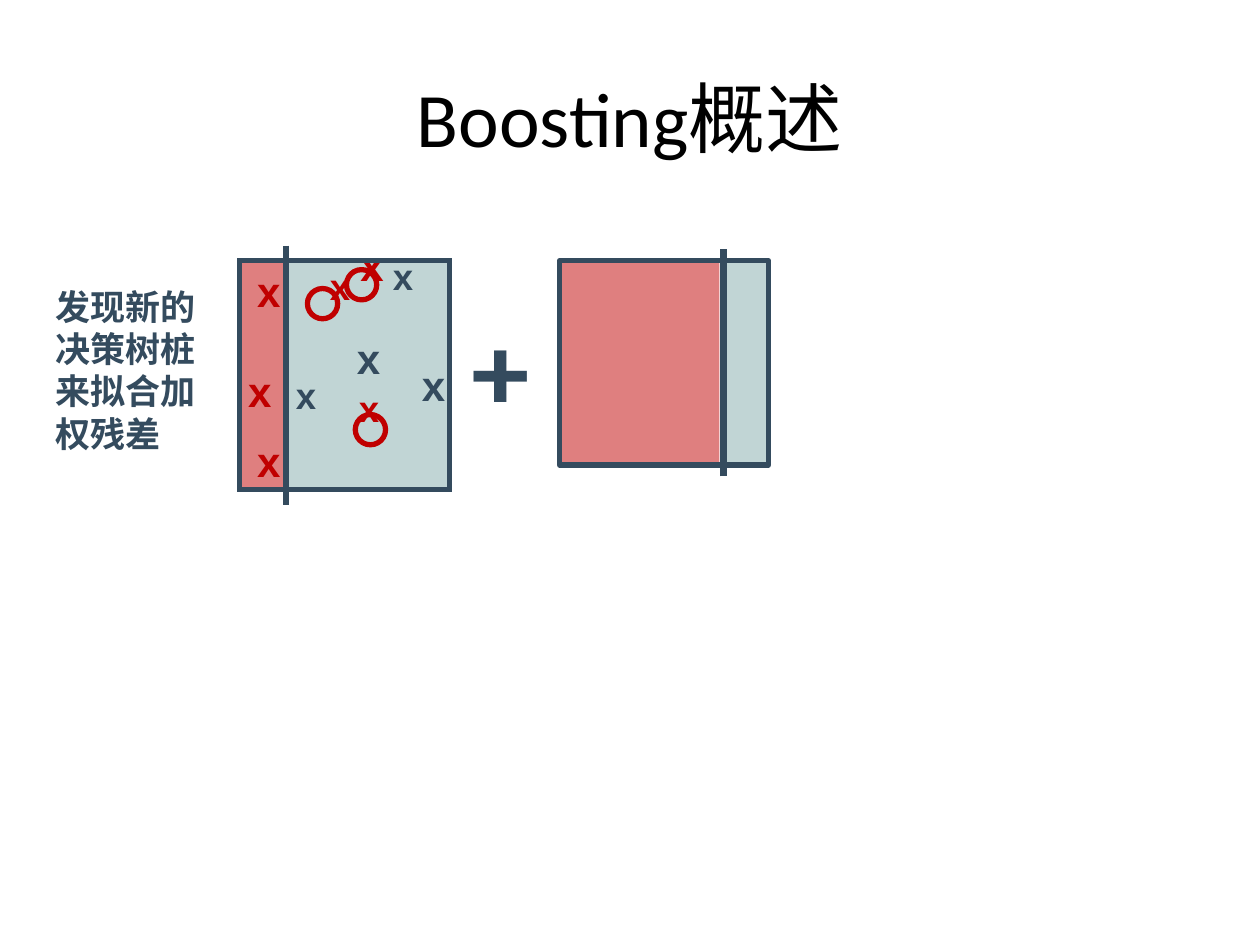
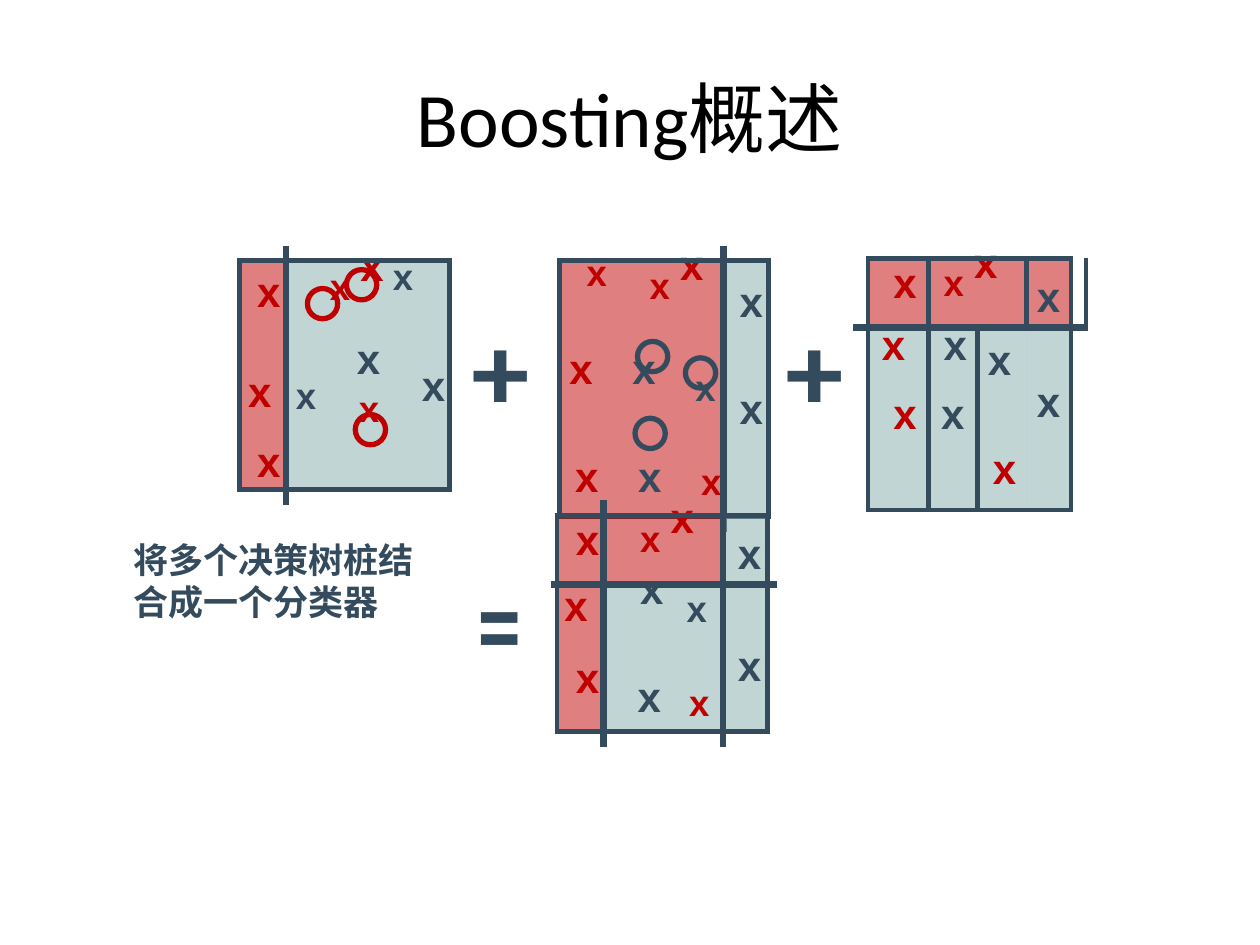
"""Builds two slides that explain boosting with decision stumps."""
from dataclasses import dataclass

import pptx
import pptx.dml.color
import pptx.enum.shapes
import pptx.enum.text
import pptx.oxml
import pptx.oxml.ns
import pptx.util
from pptx.util import Inches, Pt

NAVY = pptx.dml.color.RGBColor(0x34, 0x4B, 0x5E)
RED = pptx.dml.color.RGBColor(0xC0, 0x00, 0x00)
TEAL = pptx.dml.color.RGBColor(0x84, 0xAD, 0xAC)
BLACK = pptx.dml.color.RGBColor(0, 0, 0)
CENTER = pptx.enum.text.PP_ALIGN.CENTER
SHAPE = pptx.enum.shapes.MSO_SHAPE
NO_TABLE_STYLE = "{2D5ABB26-0587-4C30-8999-92F81FD0307C}"
THIN, THICK = 3, 4.25
CIRCLE_SIZE = 0.24


@dataclass
class Line:
    """A row of sample marks; each run is text, colour and baseline shift."""
    runs: list
    left: float = 0
    first: float = 0
    spacing: object = None
    before: float = 0
    tabs: tuple = ()
    align: object = None


@dataclass
class Region:
    """A filled table cell with its lines of marks."""
    color: object
    lines: list
    top: float = 0
    bottom: float = 0


def red(text="x", shift=0):
    """Return a red mark."""
    return text, RED, shift


def navy(text="x", shift=0):
    """Return a navy mark."""
    return text, NAVY, shift


def make_element(tag):
    """Return a new DrawingML element."""
    return pptx.oxml.parse_xml(f"<a:{tag} {pptx.oxml.ns.nsdecls('a')}/>")


def add_child(parent, tag, **attributes):
    """Append a DrawingML element and return it."""
    child = make_element(tag)
    for name, value in attributes.items():
        child.set(name, str(value))
    parent.append(child)
    return child


def add_run(paragraph, text, font, size, color, bold=True):
    """Add one formatted run and return it."""
    run = paragraph.add_run()
    run.text = text
    run.font.name = font
    run.font.size = Pt(size)
    run.font.bold = bold
    run.font.color.rgb = color
    return run


def add_label(slide, text, box, font, size, color=NAVY):
    """Add a bold text box without side margins."""
    shape = slide.shapes.add_textbox(*map(Inches, box))
    frame = shape.text_frame
    frame.word_wrap = True
    frame.auto_size = pptx.enum.text.MSO_AUTO_SIZE.SHAPE_TO_FIT_TEXT
    frame.margin_left = frame.margin_right = frame.margin_bottom = 0
    frame.margin_top = Inches(0.01)
    paragraph = frame.paragraphs[0]
    paragraph._p.get_or_add_pPr().set("marL", str(Inches(0.01)))
    add_run(paragraph, text, font, size, color)


def add_caption(slide, text, box):
    """Add an explanatory caption."""
    add_label(slide, text, box, "DejaVu Sans", 20)


def add_operator(slide, text, left, top=2.35):
    """Add a large plus or equals sign."""
    add_label(slide, text, (left, top, 0.3, 1.03), "Karla", 60)


def add_title(slide):
    """Add the shared slide title."""
    shape = slide.shapes.add_textbox(*map(Inches, (0.5, 0.3, 9, 1.25)))
    shape.text_frame.word_wrap = True
    shape.text_frame.vertical_anchor = pptx.enum.text.MSO_ANCHOR.MIDDLE
    paragraph = shape.text_frame.paragraphs[0]
    paragraph.alignment = CENTER
    add_run(paragraph, "Boosting概述", "Calibri", 44, BLACK, bold=False)


def set_translucent_fill(fill, color):
    """Fill with a half transparent colour."""
    fill.solid()
    fill.fore_color.rgb = color
    color_element = fill._xPr.find(".//" + pptx.oxml.ns.qn("a:srgbClr"))
    add_child(color_element, "alpha", val=50000)


def add_outline(slide, kind, box, color):
    """Add an unfilled outlined shape."""
    shape = slide.shapes.add_shape(kind, *map(Inches, box))
    shape.shadow.inherit = False
    shape.fill.background()
    shape.line.color.rgb = color
    shape.line.width = Pt(THIN)


def add_circles(slide, corners, color):
    """Circle the misclassified samples."""
    for left, top in corners:
        add_outline(slide, SHAPE.OVAL, (left, top, CIRCLE_SIZE, CIRCLE_SIZE), color)


def add_area(slide, box, color):
    """Add a translucent rectangle."""
    shape = slide.shapes.add_shape(SHAPE.RECTANGLE, *map(Inches, box))
    shape.shadow.inherit = False
    shape.line.fill.background()
    set_translucent_fill(shape.fill, color)


def add_boundary(slide, start, end):
    """Add a straight decision boundary."""
    connector = slide.shapes.add_connector(
        pptx.enum.shapes.MSO_CONNECTOR.STRAIGHT, *map(Inches, start + end))
    connector.line.color.rgb = NAVY
    connector.line.width = Pt(3.96)
    add_child(connector._element.spPr, "effectLst")


def set_border(cell, side, width):
    """Draw one navy cell border; later calls go in front in the XML."""
    line = make_element("ln" + side)
    line.set("w", str(Pt(width)))
    add_child(add_child(line, "solidFill"), "srgbClr", val=NAVY)
    cell._tc.get_or_add_tcPr().insert(0, line)


def write_line(paragraph, line):
    """Write one line of marks into a paragraph."""
    properties = paragraph._p.get_or_add_pPr()
    properties.set("marL", str(Inches(line.left)))
    properties.set("indent", str(Inches(line.first)))
    if line.tabs:
        tab_list = add_child(properties, "tabLst")
        for position in line.tabs:
            add_child(tab_list, "tab", pos=Inches(position), algn="l")
    paragraph.alignment = line.align
    if line.spacing:
        paragraph.line_spacing = line.spacing
    if line.before:
        paragraph.space_before = Pt(line.before)
    for text, color, shift in line.runs:
        run = add_run(paragraph, text, "Arial", 36 if shift else 24, color)
        if shift:
            run._r.get_or_add_rPr().set("baseline", str(shift * 1000))


def fill_cell(cell, region):
    """Fill a cell with its region, or leave it empty and small."""
    cell.margin_left = cell.margin_right = cell.margin_top = cell.margin_bottom = 0
    frame = cell.text_frame
    if region is None:
        cell.fill.background()
        add_child(frame.paragraphs[0]._p, "endParaRPr", sz=400)
        return
    set_translucent_fill(cell.fill, region.color)
    cell.margin_top, cell.margin_bottom = Inches(region.top), Inches(region.bottom)
    for index, line in enumerate(region.lines):
        write_line(frame.add_paragraph() if index else frame.paragraphs[0], line)


def add_stump(slide, corner, columns, rows, verticals, horizontals, regions):
    """Add a table of regions; outer borders are drawn on filled cells only."""
    frame = slide.shapes.add_table(len(rows), len(columns), *map(
        Inches, corner + (sum(columns), sum(rows))))
    table = frame.table
    table.first_row = table.horz_banding = False
    table._tbl.tblPr.find(pptx.oxml.ns.qn("a:tableStyleId")).text = NO_TABLE_STYLE
    for column, width in zip(table.columns, columns):
        column.width = Inches(width)
    for row, height in zip(table.rows, rows):
        row.height = Inches(height)
    for r in range(len(rows)):
        for c in range(len(columns)):
            cell, region = table.cell(r, c), regions.get((r, c))
            fill_cell(cell, region)
            for side, widths, edge in (("B", horizontals, r + 1), ("T", horizontals, r),
                                       ("R", verticals, c + 1), ("L", verticals, c)):
                outer = edge in (0, len(widths) - 1)
                if widths[edge] and (region or not outer):
                    set_border(cell, side, widths[edge])
    return table


def add_first_stump(slide):
    """Add the first stump with its circled errors."""
    left = Region(RED, [
        Line([red()], 0.14, spacing=Pt(28.4)),
        Line([red()], 0.07, spacing=Pt(28.4), before=28.4),
        Line([red()], 0.14, before=13.2)], top=0.05)
    right = Region(TEAL, [
        Line([red("x ", -29), red("x\t"), navy("x", -14)], 0.06,
             spacing=Pt(26.9), tabs=(0.83,), align=CENTER),
        Line([navy()], 0.01, spacing=Pt(27.1), before=15.8, align=CENTER),
        Line([navy("x\t", -13), red("x\t", -34), navy()], 0.04,
             spacing=Pt(27.1), tabs=(0.44, 0.83), align=CENTER)])
    add_stump(slide, (1.9, 1.95), (0.37, 1.3), (0.12, 1.61, 0.12),
              (THIN, THICK, THIN), (None, THIN, THIN, None),
              {(1, 0): left, (1, 1): right})
    add_circles(slide, ((2.44, 2.29), (2.75, 2.14), (2.82, 3.29)), RED)


def add_second_stump(slide):
    """Add the second stump with its circled errors."""
    left = Region(RED, [
        Line([red("x\t", -10), red("x ", -30), red()], 0.06,
             spacing=Pt(26.6), tabs=(0.5,), align=CENTER),
        Line([red("x\t"), navy("x\t"), navy("x", -28)], 0.02,
             before=11.3, tabs=(0.55, 0.92), align=CENTER),
        Line([red("x\t"), navy("x\t"), red("x", -5)], 0.11,
             before=14.8, tabs=(0.53, 0.92), align=CENTER)])
    right = Region(TEAL, [Line([navy()], 0.13), Line([navy()], 0.13, before=34.1)], 0.15)
    add_stump(slide, (4.44, 1.95), (1.3, 0.36), (0.12, 1.61, 0.12),
              (THIN, THICK, THIN), (None, THIN, THIN, None),
              {(1, 0): left, (1, 1): right})
    add_circles(slide, ((5.44, 2.84), (5.06, 2.71), (5.04, 3.32)), NAVY)


def add_third_stump(slide):
    """Add the third stump, split by a horizontal boundary."""
    regions = {
        (0, 1): Region(RED, [Line([red()], 0.2)], 0.02),
        (0, 2): Region(RED, [Line([red("x ", -28), red()], 0.12, spacing=Pt(26.1))]),
        (0, 3): Region(RED, []),
        (0, 4): Region(RED, [Line([navy()], 0.08)], 0.13),
        (1, 1): Region(TEAL, [Line([red()], 0.11, spacing=Pt(24.1)),
                              Line([red()], 0.2, before=12.2)]),
        (1, 2): Region(TEAL, [Line([navy()], 0.12, spacing=Pt(24.1)),
                              Line([navy()], 0.1, before=12.2)]),
        (1, 3): Region(TEAL, [Line([navy()], 0.12, -0.04, spacing=1.16),
                              Line([red()], 0.12, spacing=1.16, before=31)], 0.02, 0.07),
        (1, 4): Region(TEAL, [Line([navy()], 0.08)], 0.41)}
    table = add_stump(slide, (6.77, 2.05), (0.12, 0.48, 0.39, 0.39, 0.35, 0.12),
                      (0.55, 1.06), (None, THIN, THIN, None, None, THIN, None),
                      (THIN, THICK, THIN), regions)
    table.cell(0, 2).merge(table.cell(0, 3))
    corner = table.cell(0, 5)
    borders = corner._tc.get_or_add_tcPr()
    left_border = borders[0]
    set_border(corner, "R", THIN)
    borders.insert(0, left_border)


def add_combined_classifier(slide):
    """Add the classifier that joins all three stumps."""
    regions = {
        (1, 0): Region(RED, [Line([red()], 0.15)], 0.02),
        (1, 1): Region(RED, [Line([red("x ", -30), red()], 0.29, spacing=Pt(25.5))]),
        (1, 2): Region(TEAL, [Line([navy()], 0.07, align=CENTER)], 0.13),
        (2, 0): Region(RED, [Line([red()], 0.06, spacing=Pt(25.9)),
                             Line([red()], 0.15, before=14.8)]),
        (2, 1): Region(TEAL, [
            Line([navy("x\t"), navy("x", -28)], 0.29, spacing=Pt(25.9), tabs=(0.66,)),
            Line([navy("x\t"), red("x", -5)], 0.27, before=14.8, tabs=(0.66,))]),
        (2, 2): Region(TEAL, [Line([navy()], 0.07, align=CENTER)], 0.47)}
    add_boundary(slide, (4.37, 4.64), (6.17, 4.64))
    add_stump(slide, (4.42, 3.97), (0.37, 0.95, 0.35), (0.12, 0.55, 1.06, 0.12),
              (THIN, THICK, THICK, THIN), (None, THIN, THICK, THIN, None), regions)


def main():
    """Build and save the presentation."""
    presentation = pptx.Presentation()
    presentation.slide_width, presentation.slide_height = Inches(10), Inches(7.5)
    residual_slide, combined_slide = [
        presentation.slides.add_slide(presentation.slide_layouts[6]) for _ in range(2)]
    for slide in (residual_slide, combined_slide):
        add_title(slide)
        add_first_stump(slide)
        add_operator(slide, "+", 3.74)

    add_caption(residual_slide, "发现新的决策树桩来拟合加权残差", (0.43, 2.26, 1.29, 1.36))
    add_area(residual_slide, (5.77, 2.08, 0.33, 1.6), TEAL)
    add_area(residual_slide, (4.43, 2.08, 1.28, 1.6), RED)
    add_outline(residual_slide, SHAPE.RECTANGLE, (4.44, 2.07, 1.66, 1.62), NAVY)
    add_boundary(residual_slide, (5.74, 3.78), (5.74, 1.98))

    add_caption(combined_slide, "将多个决策树桩结合成一个分类器", (1.05, 4.26, 2.33, 0.69))
    add_second_stump(combined_slide)
    add_operator(combined_slide, "+", 6.23)
    add_third_stump(combined_slide)
    add_operator(combined_slide, "=", 3.73, 4.36)
    add_combined_classifier(combined_slide)
    presentation.save("out.pptx")


if __name__ == "__main__":
    main()
